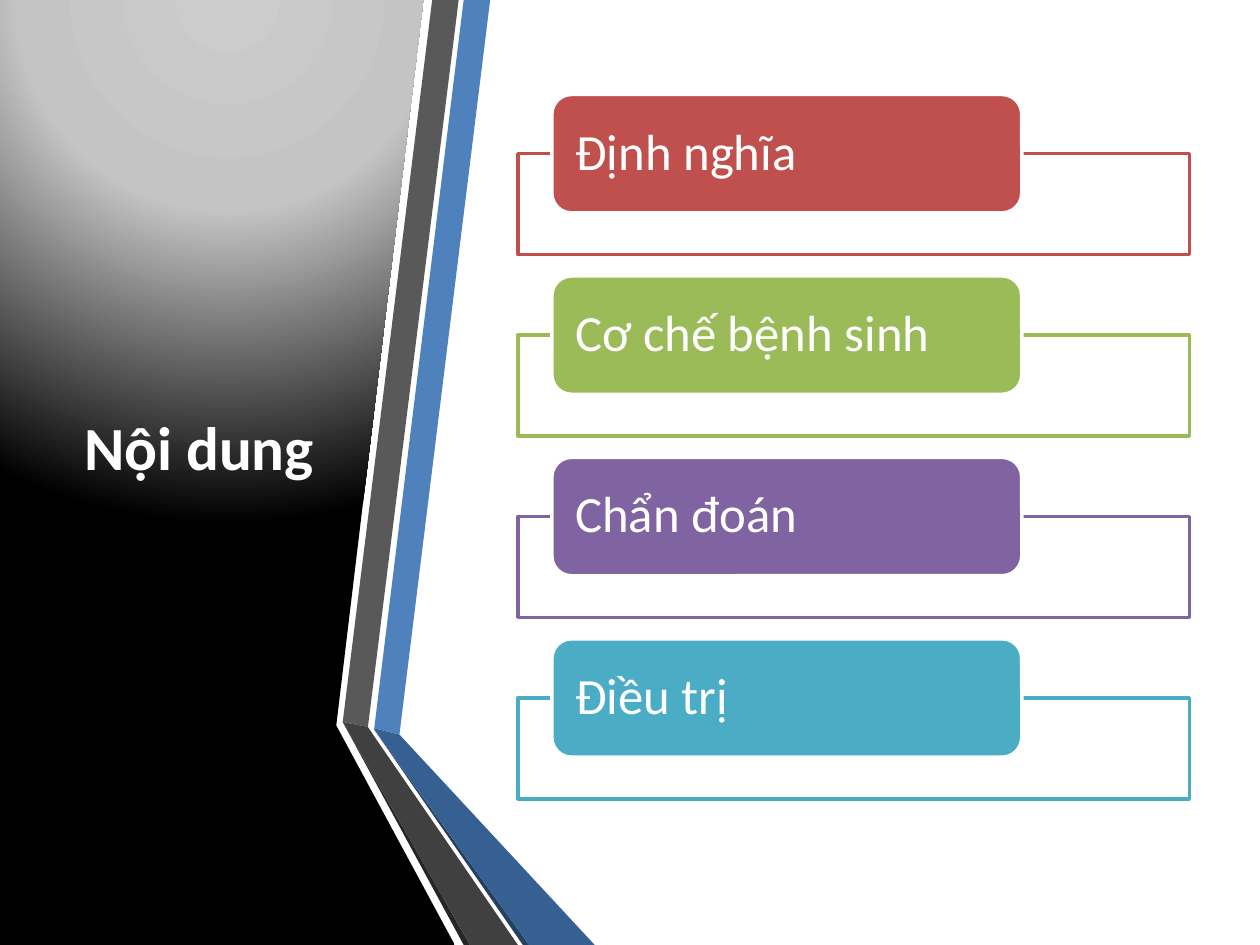
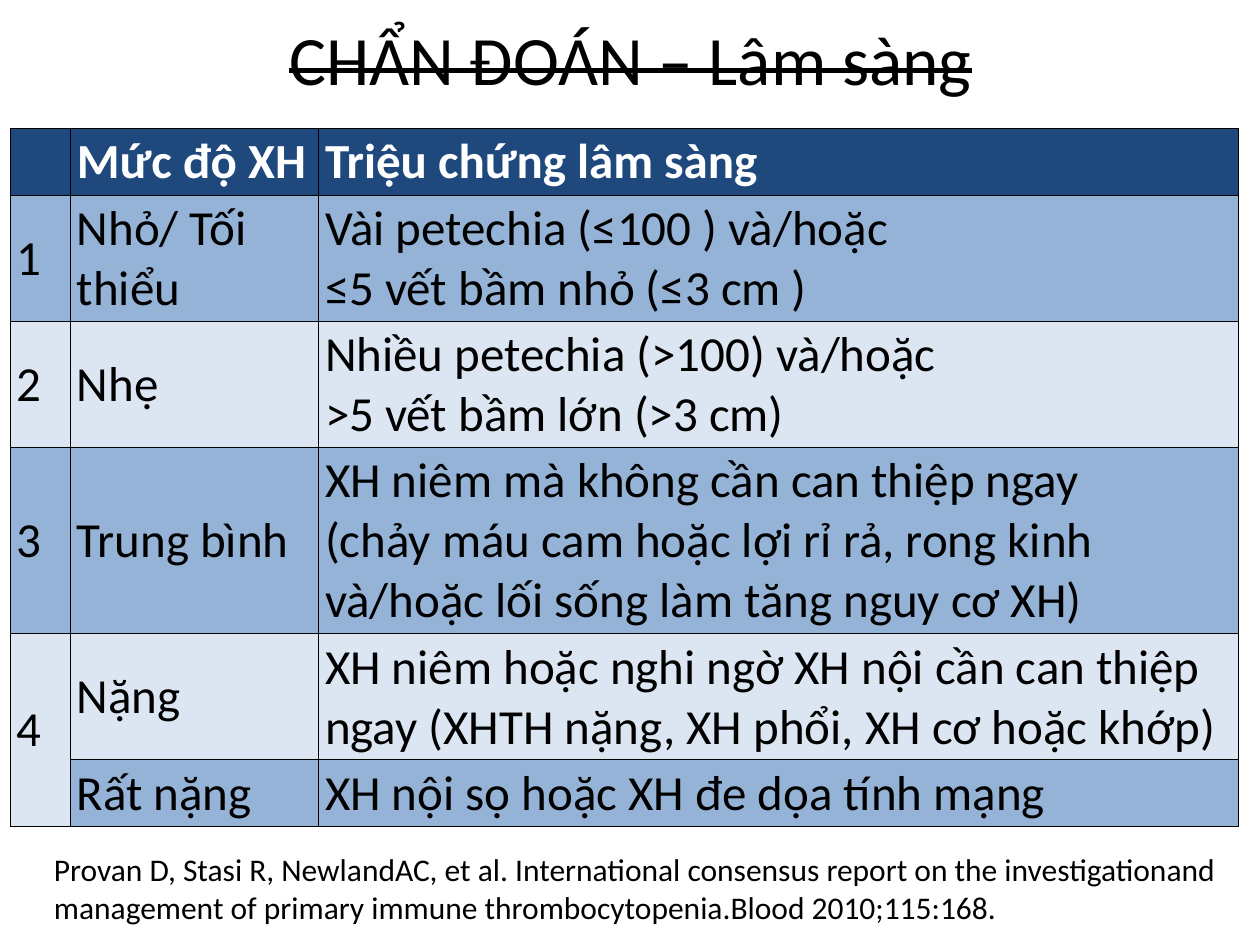
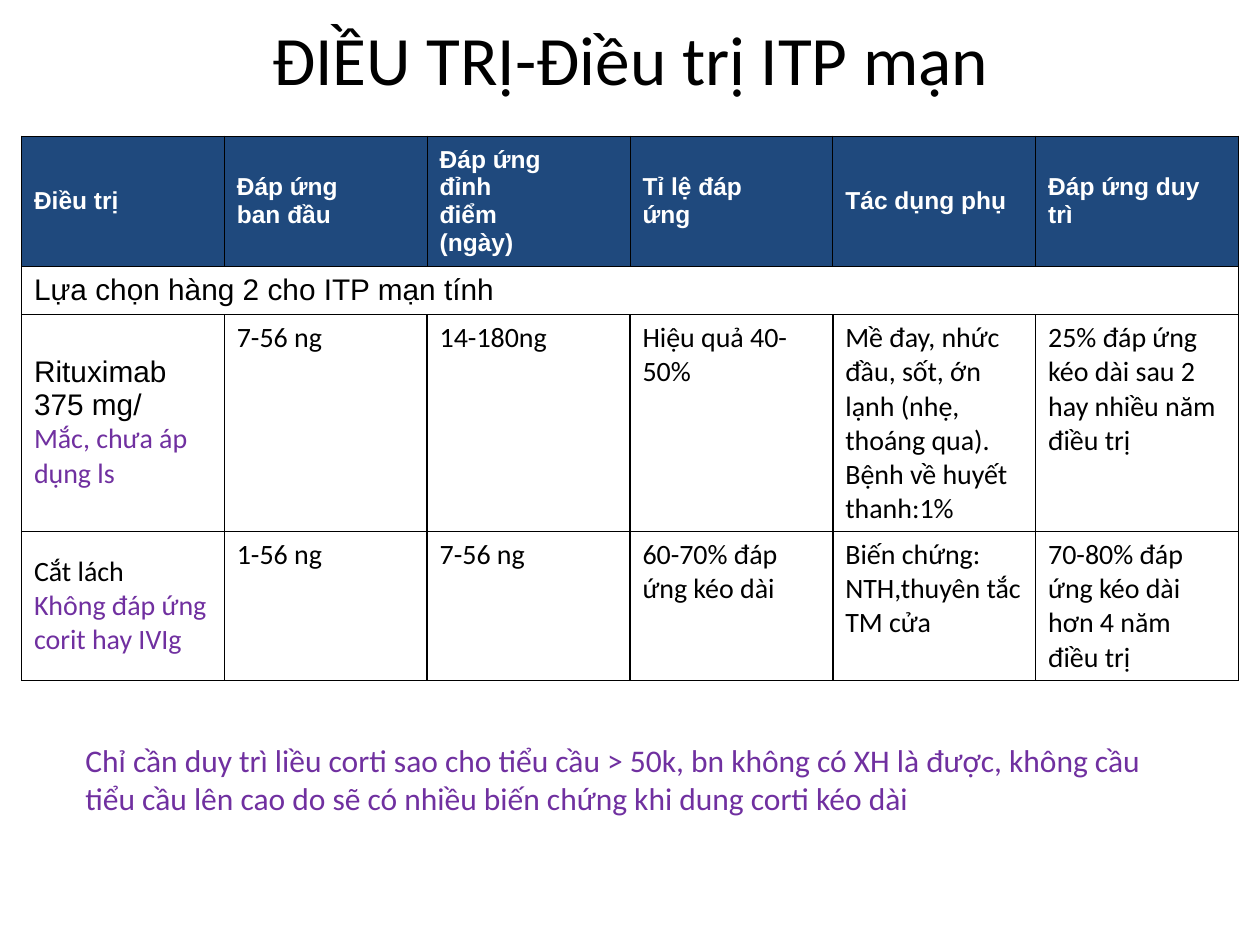
from collections.abc import Callable
from copy import deepcopy
from dataclasses import dataclass

from lxml.etree import SubElement
from pptx import Presentation
from pptx.dml.color import RGBColor
from pptx.enum.shapes import MSO_SHAPE
from pptx.enum.text import MSO_ANCHOR, PP_ALIGN
from pptx.oxml import parse_xml
from pptx.oxml.ns import nsdecls, qn
from pptx.util import Inches, Pt

COLORS = {
    "white": "FFFFFF", "black": "000000", "navy": "1F497D", "sky": "95B3D7",
    "pale": "DCE6F2", "purple": "7030A0", "blue": "4F81BD", "steel": "376092",
    "night": "254061", "ash": "595959", "coal": "404040", "soot": "262626",
    "red": "C0504D", "green": "9BBB59", "violet": "8064A2", "aqua": "4BACC6",
}


@dataclass
class Look:
    """Format of one table cell."""
    size: float
    font: str = "Calibri"
    color: str = "black"
    bold: bool = False
    fill: str = ""
    anchor: MSO_ANCHOR = MSO_ANCHOR.MIDDLE


@dataclass
class Grid:
    """Place and measures of a table."""
    left: float
    top: float
    cols: list[float]
    rows: list[float]
    inset: tuple[float, float]


@dataclass
class Band:
    color: str
    points: list[tuple[float, float]]


@dataclass
class Topic:
    text: str
    color: str


PANEL = [(2.64, 0), (3.36, 0), (2.67, 5.75), (2.67, 5.76), (3.61, 7.5),
         (0, 7.5), (0, 0)]
BANDS = [
    Band("blue", [(2.97, 5.78), (3.17, 5.83), (3.89, 0), (3.68, 0)]),
    Band("ash", [(3.64, 0), (3.43, 0), (2.72, 5.73), (2.92, 5.77)]),
    Band("soot", [(2.72, 5.73), (3.68, 7.5), (3.73, 7.5)]),
    Band("night", [(2.97, 5.79), (4.15, 7.5), (4.2, 7.5)]),
    Band("steel", [(2.97, 5.79), (4.2, 7.5), (4.72, 7.5), (3.17, 5.83),
                   (2.97, 5.78)]),
    Band("coal", [(4.11, 7.5), (2.96, 5.83), (2.92, 5.77), (2.72, 5.73),
                  (3.73, 7.5)]),
]
TOPICS = [Topic("Định nghĩa", "red"), Topic("Cơ chế bệnh sinh", "green"),
          Topic("Chẩn đoán", "violet"), Topic("Điều trị", "aqua")]

LEVELS = [
    ["", "Mức độ XH", "Triệu chứng lâm sàng"],
    ["1", "Nhỏ/ Tối\vthiểu",
     "Vài petechia (≤100 ) và/hoặc\n≤5 vết bầm nhỏ (≤3 cm )"],
    ["2", "Nhẹ", "Nhiều petechia (>100) và/hoặc\n>5 vết bầm lớn (>3 cm)"],
    ["3", "Trung bình",
     "XH niêm mà không cần can thiệp ngay\v(chảy máu cam hoặc lợi rỉ rả, "
     "rong kinh\nvà/hoặc lối sống làm tăng nguy cơ XH)"],
    ["4", "Nặng", "XH niêm hoặc nghi ngờ XH nội cần can thiệp ngay "
     "(XHTH nặng, XH phổi, XH cơ hoặc khớp)"],
    ["", "Rất nặng", "XH nội sọ hoặc XH đe dọa tính mạng"],
]
CURES = [
    ["Điều trị", "Đáp ứng\vban đầu", "Đáp ứng\vđỉnh\vđiểm\v(ngày)",
     "Tỉ lệ đáp\vứng", "Tác dụng phụ", "Đáp ứng duy trì"],
    ["Lựa chọn hàng 2 cho ITP mạn tính", "", "", "", "", ""],
    ["Rituximab\v375 mg/ \v", "7-56 ng", "14-180ng", "Hiệu quả 40-50%",
     "Mề đay, nhức đầu, sốt, ớn lạnh (nhẹ, thoáng qua). "
     "Bệnh về huyết thanh:1%",
     "25% đáp ứng kéo dài sau 2 hay nhiều năm điều trị"],
    ["Cắt lách", "1-56 ng", "7-56 ng", "60-70% đáp ứng kéo dài",
     "Biến chứng: NTH,thuyên tắc TM cửa",
     "70-80% đáp ứng kéo dài hơn 4 năm điều trị"],
]


def rgb(name: str) -> RGBColor:
    return RGBColor.from_string(COLORS[name])


def write(frame, text: str, *, size: float, font: str = "Calibri",
          color: str = "black", bold: bool = False, strike: bool = False,
          align=PP_ALIGN.LEFT, lead: float = 1, more: bool = False) -> None:
    """Write text: \\n starts a paragraph, \\v a line; more keeps what is there."""
    for i, part in enumerate(text.split("\n")):
        para = frame.add_paragraph() if i else frame.paragraphs[-1 if more else 0]
        para.alignment, para.line_spacing = align, lead
        for j, line in enumerate(part.split("\v")):
            if j:
                para.add_line_break()
            run = para.add_run()
            run.text = line
            run.font.size, run.font.name = Pt(size), font
            run.font.bold, run.font.color.rgb = bold, rgb(color)
            props = run._r.get_or_add_rPr()
            if strike:
                props.set("strike", "sngStrike")
            if j:
                run._r.getprevious().append(deepcopy(props))
            if not line:
                para._p.remove(run._r)


def label(slide, box: tuple, text: str, anchor=MSO_ANCHOR.TOP, **form) -> None:
    frame = slide.shapes.add_textbox(*map(Inches, box)).text_frame
    frame.word_wrap, frame.vertical_anchor = True, anchor
    write(frame, text, **form)


def title(slide, text: str, strike: bool = False) -> None:
    label(slide, (0.17, 0.12, 9.67, 0.68), text, MSO_ANCHOR.MIDDLE,
          size=39.6, strike=strike, align=PP_ALIGN.CENTER)


def block(slide, kind, box: tuple, fill: str, line: str):
    shape = slide.shapes.add_shape(kind, *map(Inches, box))
    shape.shadow.inherit = False
    shape.fill.solid()
    shape.fill.fore_color.rgb = rgb(fill)
    shape.line.color.rgb = rgb(line)
    shape.line.width = Pt(2)
    return shape


def outline(slide, points: list, color: str):
    spots = [(Inches(x), Inches(y)) for x, y in points]
    build = slide.shapes.build_freeform(*spots[0])
    build.add_line_segments(spots[1:], close=True)
    shape = build.convert_to_shape()
    shape.shadow.inherit = False
    shape.fill.solid()
    shape.fill.fore_color.rgb = rgb(color)
    shape.line.fill.background()
    return shape


def glow(shape) -> None:
    """Fill with a round gradient centred above the shape."""
    stops = "".join(
        f'<a:gs pos="{pos}"><a:srgbClr val="{tone}"/></a:gs>' for pos, tone in
        [(0, "CCCCCC"), (40000, "C4C4C4"), (100000, "000000")])
    fill = parse_xml(
        f'<a:gradFill {nsdecls("a")}><a:gsLst>{stops}</a:gsLst>'
        '<a:path path="circle"><a:fillToRect l="50000" t="-80000" '
        'r="50000" b="180000"/></a:path></a:gradFill>')
    props = shape.element.spPr
    props.replace(props.find(qn("a:solidFill")), fill)


def border(cell, side: str, width: float) -> None:
    line = SubElement(cell._tc.get_or_add_tcPr(), qn(f"a:ln{side}"),
                      w=str(Pt(width)))
    SubElement(SubElement(line, qn("a:solidFill")), qn("a:srgbClr"),
               val=COLORS["black"])


def table(slide, grid: Grid, texts: list, look: Callable[[int, int], Look],
          span: tuple, edge: Callable[[int, int], float]):
    """Draw a table; edge gives the line width left of a column in a row."""
    size = len(grid.rows), len(grid.cols)
    board = slide.shapes.add_table(
        *size, Inches(grid.left), Inches(grid.top),
        Inches(sum(grid.cols)), Inches(sum(grid.rows))).table
    board.first_row = board.horz_banding = False
    for col, width in zip(board.columns, grid.cols):
        col.width = Inches(width)
    for row, height in zip(board.rows, grid.rows):
        row.height = Inches(height)
    for r, line in enumerate(texts):
        for c, text in enumerate(line):
            cell, form = board.cell(r, c), look(r, c)
            cell.margin_left = cell.margin_right = Inches(grid.inset[0])
            cell.margin_top = cell.margin_bottom = Inches(grid.inset[1])
            cell.vertical_anchor = form.anchor
            for side, width in zip("LRTB", (edge(r, c), edge(r, c + 1), 0.5, 0.5)):
                border(cell, side, width)
            if form.fill:
                cell.fill.solid()
                cell.fill.fore_color.rgb = rgb(form.fill)
            else:
                cell.fill.background()
            if text:
                write(cell.text_frame, text, size=form.size, font=form.font,
                      color=form.color, bold=form.bold)
    first, last = span
    board.cell(*first).merge(board.cell(*last))
    return board


def agenda(slide) -> None:
    glow(outline(slide, PANEL, "black"))
    for band in BANDS:
        outline(slide, band.points, band.color)
    label(slide, (0.44, 0.75, 2.28, 5.58), "Nội dung", MSO_ANCHOR.MIDDLE,
          size=35, color="white", bold=True, align=PP_ALIGN.CENTER)
    for i, topic in enumerate(TOPICS):
        top = 0.75 + 1.44 * i
        block(slide, MSO_SHAPE.RECTANGLE, (4.11, top + 0.47, 5.33, 0.8),
              "white", topic.color)
        tab = block(slide, MSO_SHAPE.ROUNDED_RECTANGLE, (4.38, top, 3.73, 0.94),
                    topic.color, "white")
        frame = tab.text_frame
        frame.word_wrap, frame.vertical_anchor = True, MSO_ANCHOR.MIDDLE
        frame.margin_left = frame.margin_right = Inches(0.14)
        frame.margin_top = frame.margin_bottom = 0
        write(frame, topic.text, size=29, color="white", lead=0.9)


def level(row: int, col: int) -> Look:
    if row == 0:
        return Look(28, color="white", bold=True, fill="navy")
    return Look(28, fill="sky" if row % 2 else "pale")


def signs(slide) -> None:
    title(slide, "CHẨN ĐOÁN – Lâm sàng", strike=True)
    grid = Grid(0.08, 1.02, [0.48, 1.97, 7.3],
                [0.53, 1, 1, 1.48, 1, 0.53], (0.05, 0.03))
    table(slide, grid, LEVELS, level, ((4, 0), (5, 0)), lambda r, c: 0.5)
    label(slide, (0.33, 6.7, 9.5, 0.71),
          "Provan D, Stasi R, NewlandAC, et al. International consensus report "
          "on the investigationand management of primary immune "
          "thrombocytopenia.Blood 2010;115:168.", size=18)


def cure(row: int, col: int) -> Look:
    if row == 0:
        return Look(14, "Arial", "white", True, "navy")
    if col:
        return Look(16, anchor=MSO_ANCHOR.TOP)
    return Look(16) if row == 3 else Look(17, "Arial")


def care(slide) -> None:
    title(slide, "ĐIỀU TRỊ-Điều trị ITP mạn")
    grid = Grid(0.17, 1.08, [1.61] * 6, [1, 0.37, 1.72, 1.18], (0.1, 0.05))
    board = table(slide, grid, CURES, cure, ((1, 0), (1, 5)),
                  lambda r, c: 1 if r > 1 and c > 1 else 0.5)
    note = {"size": 16, "color": "purple", "more": True}
    write(board.cell(2, 0).text_frame, "Mắc, chưa áp dụng ls", **note)
    frame = board.cell(3, 0).text_frame
    frame.add_paragraph()
    write(frame, "Không đáp ứng corit hay IVIg", **note)
    label(slide, (0.58, 5.83, 8.83, 0.71),
          "Chỉ cần duy trì liều corti sao cho tiểu cầu > 50k, bn không có XH "
          "là được, không cầu tiểu cầu lên cao do sẽ có nhiều biến chứng khi "
          "dung corti kéo dài", size=18, color="purple")


def main() -> None:
    deck = Presentation()
    deck.slide_width, deck.slide_height = Inches(10), Inches(7.5)
    for draw in (agenda, signs, care):
        draw(deck.slides.add_slide(deck.slide_layouts[6]))
    deck.save("out.pptx")


if __name__ == "__main__":
    main()
